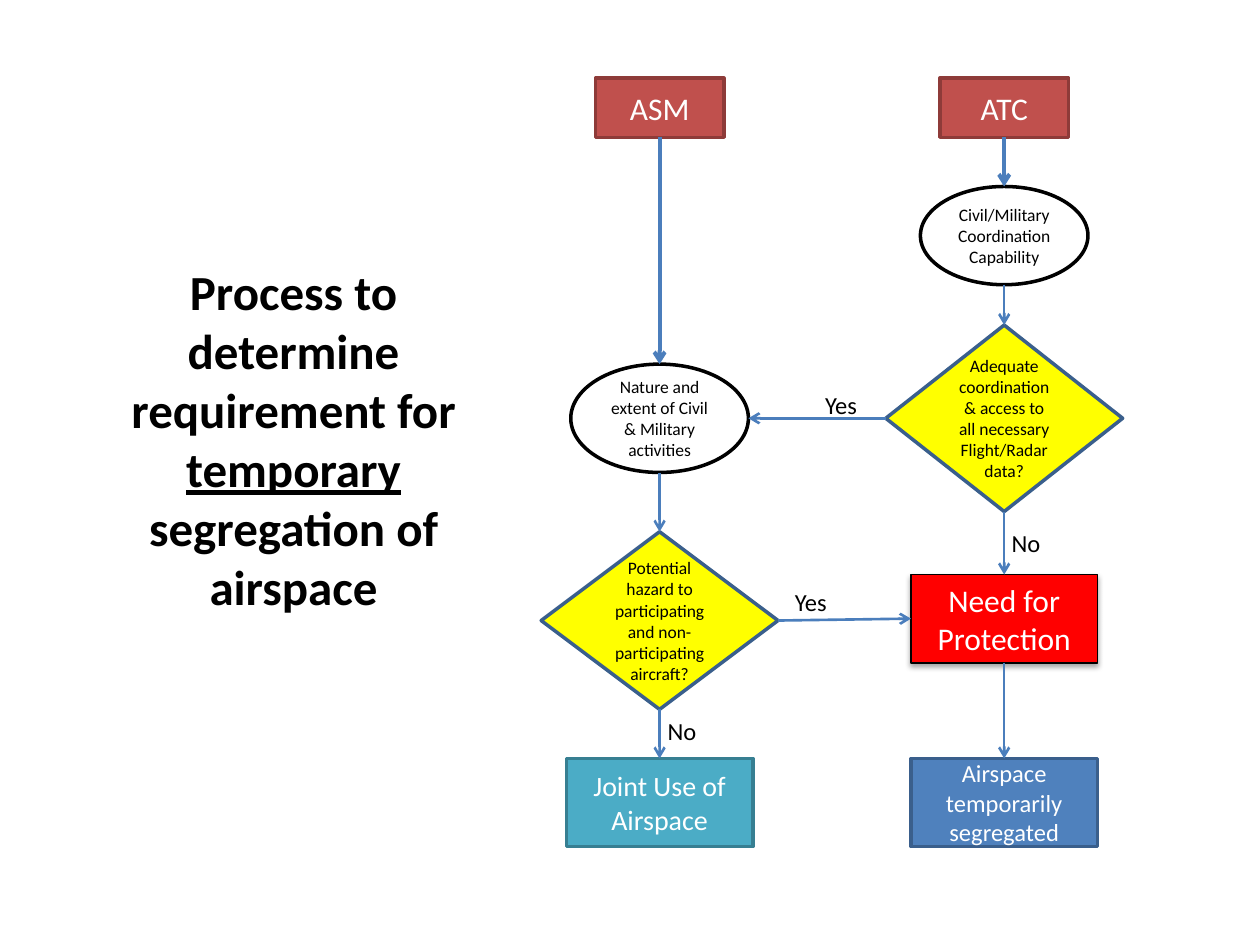
from collections import namedtuple

from lxml.etree import SubElement
from pptx import Presentation
from pptx.dml.color import RGBColor
from pptx.enum.shapes import MSO_CONNECTOR, MSO_SHAPE
from pptx.enum.text import MSO_ANCHOR, PP_ALIGN
from pptx.oxml.ns import qn
from pptx.util import Inches, Pt

COLUMNS, ROWS = 100, 75
SLIDE_WIDTH, SLIDE_HEIGHT = Inches(10), Inches(7.5)
FONT = "Calibri"

BLACK = RGBColor(0x00, 0x00, 0x00)
WHITE = RGBColor(0xFF, 0xFF, 0xFF)
BRICK = RGBColor(0xC0, 0x50, 0x4D)
DARK_BRICK = RGBColor(0x8E, 0x3B, 0x39)
YELLOW = RGBColor(0xFF, 0xFF, 0x00)
RED = RGBColor(0xFF, 0x00, 0x00)
TEAL = RGBColor(0x4B, 0xAC, 0xC6)
DARK_TEAL = RGBColor(0x37, 0x7F, 0x92)
BLUE = RGBColor(0x4F, 0x81, 0xBD)
DARK_BLUE = RGBColor(0x3A, 0x5F, 0x8C)
ARROW_BLUE = RGBColor(0x4B, 0x7E, 0xBC)

TOP, LEFT, BOTTOM, RIGHT = range(4)

Box = namedtuple("Box", "left top width height")
Style = namedtuple("Style", "outline width height fill line text line_width", defaults=[2])

HEADER = Style(MSO_SHAPE.RECTANGLE, 10.2, 4.7, BRICK, DARK_BRICK, WHITE)
TOPIC = Style(MSO_SHAPE.OVAL, 14.1, 8.6, WHITE, BLACK, BLACK)
DECISION = Style(MSO_SHAPE.FLOWCHART_DECISION, 18.8, 14.1, YELLOW, DARK_BLUE, BLACK)
JOINT_USE = Style(MSO_SHAPE.RECTANGLE, 14.8, 7, TEAL, DARK_TEAL, WHITE)
PROTECTION = JOINT_USE._replace(fill=RED, line=BLACK, line_width=1)
SEGREGATED = JOINT_USE._replace(fill=BLUE, line=DARK_BLUE)

ASM_CENTRE, ATC_CENTRE = 9.35, 36.7
NODES = {
    "asm": (HEADER, ASM_CENTRE, 0, "ASM", 18),
    "atc": (HEADER, ATC_CENTRE, 0, "ATC", 18),
    "activities": (TOPIC, ASM_CENTRE, 22.7,
                   "Nature and extent of Civil & Military activities", 10),
    "capability": (TOPIC._replace(width=13.3, height=7.8), ATC_CENTRE, 8.6,
                   "Civil/Military Coordination Capability", 10),
    "adequate": (DECISION._replace(height=14.8), ATC_CENTRE, 19.6,
                 "Adequate coordination & access to all necessary Flight/Radar data?", 10),
    "hazard": (DECISION, ASM_CENTRE, 36,
               "Potential hazard to participating and non-participating aircraft?", 10),
    "joint": (JOINT_USE, ASM_CENTRE, 54, "Joint Use of Airspace", 16),
    "protection": (PROTECTION, ATC_CENTRE, 39.4, "Need for Protection", 18),
    "segregated": (SEGREGATED, ATC_CENTRE, 54, "Airspace temporarily segregated", 14),
}
ARROWS = [
    ("asm", BOTTOM, "activities", TOP, 2.25),
    ("atc", BOTTOM, "capability", TOP, 2.25),
    ("capability", BOTTOM, "adequate", TOP, 1.5),
    ("adequate", LEFT, "activities", RIGHT, 1.5),
    ("activities", BOTTOM, "hazard", TOP, 1.5),
    ("adequate", BOTTOM, "protection", TOP, 1.5),
    ("hazard", RIGHT, "protection", LEFT, 1.5),
    ("hazard", BOTTOM, "joint", TOP, 1.5),
    ("protection", BOTTOM, "segregated", TOP, 1.5),
]
ANSWERS = [("Yes", 21.5, 24.3), ("Yes", 19.1, 39.9), ("No", 36.3, 35.2), ("No", 9, 50.1)]


def on_grid(box):
    across, down = SLIDE_WIDTH / COLUMNS, SLIDE_HEIGHT / ROWS
    return [round(box.left * across), round(box.top * down),
            round(box.width * across), round(box.height * down)]


def write(frame, *runs, size, color=BLACK, bold=False, align=PP_ALIGN.CENTER,
          anchor=MSO_ANCHOR.MIDDLE, underlined=()):
    frame.word_wrap = True
    frame.vertical_anchor = anchor
    paragraph = frame.paragraphs[0]
    paragraph.alignment = align
    for words in runs:
        run = paragraph.add_run()
        run.text = words
        run.font.name = FONT
        run.font.size = Pt(size)
        run.font.bold = bold
        run.font.underline = words in underlined
        run.font.color.rgb = color


def add_soft_shadow(node):
    effects = node._element.spPr.find(qn("a:effectLst"))
    shadow = SubElement(effects, qn("a:outerShdw"), blurRad="40000", dist="23000",
                        dir="5400000", rotWithShape="0")
    color = SubElement(shadow, qn("a:srgbClr"), val=str(BLACK))
    SubElement(color, qn("a:alpha"), val="35000")


def add_node(slide, region, style, centre, top, words, size):
    box = Box(region.left + centre - style.width / 2, region.top + top,
              style.width, style.height)
    node = slide.shapes.add_shape(style.outline, *on_grid(box))
    node.shadow.inherit = False
    node.fill.solid()
    node.fill.fore_color.rgb = style.fill
    node.line.color.rgb = style.line
    node.line.width = Pt(style.line_width)
    write(node.text_frame, words, size=size, color=style.text)
    return node


def side_middle(node, side):
    across = {LEFT: 0, RIGHT: node.width}.get(side, node.width // 2)
    down = {TOP: 0, BOTTOM: node.height}.get(side, node.height // 2)
    return node.left + across, node.top + down


def add_arrow(slide, source, source_side, target, target_side, weight):
    arrow = slide.shapes.add_connector(MSO_CONNECTOR.STRAIGHT,
                                       *side_middle(source, source_side),
                                       *side_middle(target, target_side))
    if source.auto_shape_type != MSO_SHAPE.OVAL:
        arrow.begin_connect(source, source_side)
    if target.auto_shape_type != MSO_SHAPE.OVAL:
        arrow.end_connect(target, target_side)
    arrow.line.color.rgb = ARROW_BLUE
    arrow.line.width = Pt(weight)
    SubElement(arrow.line._get_or_add_ln(), qn("a:tailEnd"), type="arrow")
    SubElement(arrow._element.spPr, qn("a:effectLst"))


def add_flowchart(slide, region):
    nodes = {key: add_node(slide, region, *details) for key, details in NODES.items()}
    add_soft_shadow(nodes["protection"])
    for source, source_side, target, target_side, weight in ARROWS:
        add_arrow(slide, nodes[source], source_side, nodes[target], target_side, weight)
    for answer, left, top in ANSWERS:
        box = Box(region.left + left, region.top + top, 6.3, 3.4)
        label = slide.shapes.add_textbox(*on_grid(box))
        write(label.text_frame, answer, size=14, align=PP_ALIGN.LEFT, anchor=MSO_ANCHOR.TOP)


def add_title(slide, region):
    title = slide.shapes.add_textbox(*on_grid(region))
    title.text_frame.margin_bottom = round(5.2 * SLIDE_HEIGHT / ROWS)
    write(title.text_frame, "Process to determine requirement for ", "temporary",
          " segregation of airspace", size=28, bold=True, underlined=("temporary",))


def main():
    presentation = Presentation()
    presentation.slide_width, presentation.slide_height = SLIDE_WIDTH, SLIDE_HEIGHT
    slide = presentation.slides.add_slide(presentation.slide_layouts[6])
    add_flowchart(slide, Box(43, 6.2, 46.1, 61))
    add_title(slide, Box(5.5, 28.9, 35.6, 16.5))
    presentation.save("out.pptx")


if __name__ == "__main__":
    main()
